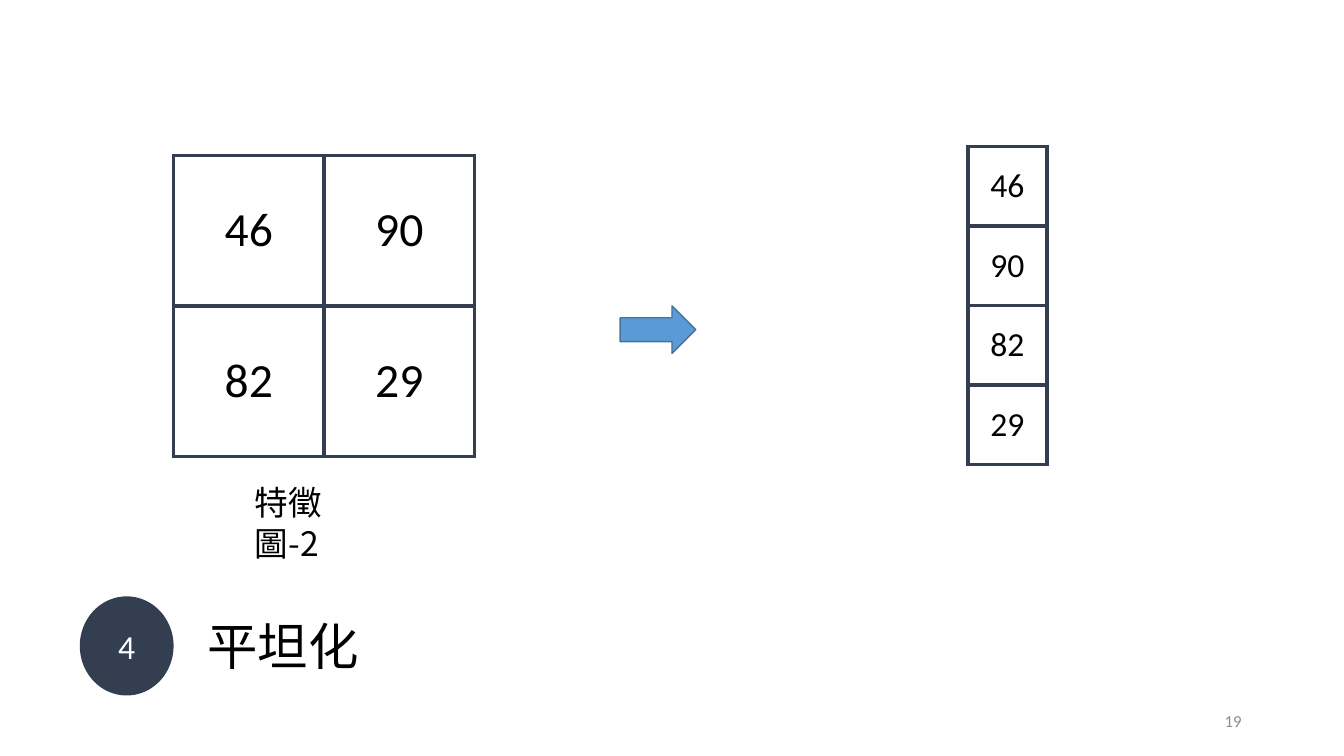
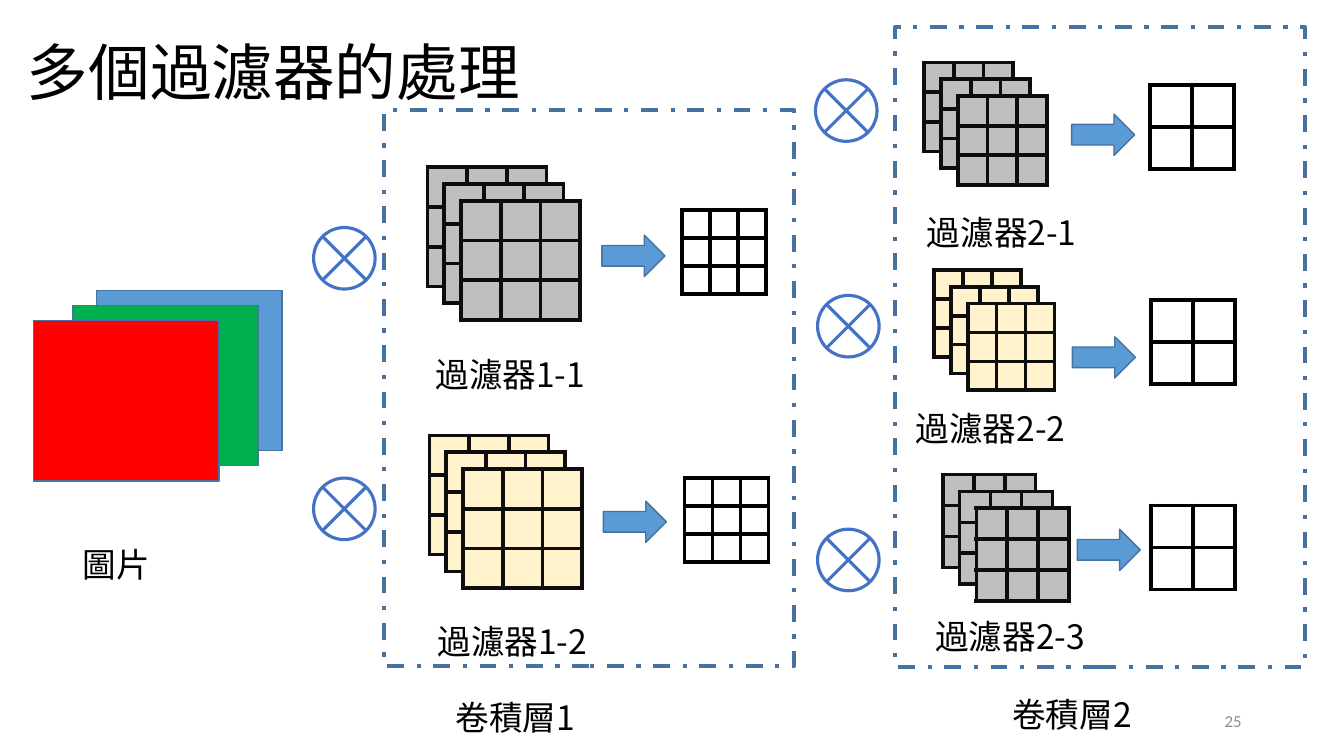
import pptx
import pptx.util
import pptx.dml.color
import pptx.enum.dml
import pptx.enum.shapes
import pptx.enum.text
import pptx.oxml.ns
import lxml.etree

Pt = pptx.util.Pt
RGBColor = pptx.dml.color.RGBColor
SHAPE = pptx.enum.shapes.MSO_SHAPE
ALIGN = pptx.enum.text.PP_ALIGN
ANCHOR = pptx.enum.text.MSO_ANCHOR
AUTO = pptx.enum.text.MSO_AUTO_SIZE
qn = pptx.oxml.ns.qn

BLACK = RGBColor(0x00, 0x00, 0x00)
WHITE = RGBColor(0xFF, 0xFF, 0xFF)
INK = RGBColor(0x0D, 0x0D, 0x0D)
NAVY = RGBColor(0x33, 0x3F, 0x50)
BLUE = RGBColor(0x5B, 0x9B, 0xD5)
EDGE = RGBColor(0x43, 0x73, 0x9E)
JUNCTION = RGBColor(0x44, 0x72, 0xC4)
GREEN = RGBColor(0x00, 0xB0, 0x50)
RED = RGBColor(0xFF, 0x00, 0x00)
GRAY = RGBColor(0xBF, 0xBF, 0xBF)
CREAM = RGBColor(0xFF, 0xF2, 0xCC)
MUTED = RGBColor(0x8C, 0x8C, 0x8C)

LATIN = "Calibri"
CJK = "Noto Sans CJK SC"


class Deck:
    def __init__(self):
        self.prs = pptx.Presentation()
        self.prs.slide_width = Pt(960)
        self.prs.slide_height = Pt(540)
        self.s = None

    def slide(self, number, title=None):
        layout = self.prs.slide_layouts[5 if title else 6]
        self.s = self.prs.slides.add_slide(layout)
        if title:
            self.title(title)
        self.number(number)

    def set_text(self, tf, text, size, font=CJK, color=BLACK, align=ALIGN.LEFT):
        tf.text = text
        p = tf.paragraphs[0]
        p.alignment = align
        for r in p.runs:
            r.font.size = Pt(size)
            r.font.name = font
            r.font.color.rgb = color
            rPr = r._r.get_or_add_rPr()
            lxml.etree.SubElement(rPr, qn("a:ea"), typeface=font)
        return p

    def title(self, text):
        sp = self.s.shapes.title
        sp.left, sp.top, sp.width, sp.height = Pt(12), Pt(2), Pt(828), Pt(104.4)
        tf = sp.text_frame
        tf.vertical_anchor = ANCHOR.MIDDLE
        p = self.set_text(tf, text, 44)
        p.line_spacing = 0.9

    def number(self, number):
        sp = self.s.shapes.add_textbox(Pt(678), Pt(500.4), Pt(216), Pt(28.8))
        tf = sp.text_frame
        tf.word_wrap = True
        tf.vertical_anchor = ANCHOR.MIDDLE
        self.set_text(tf, str(number), 12, LATIN, MUTED, ALIGN.RIGHT)

    def label(self, text, x, y, w=139, h=36, size=24, wrap=True):
        sp = self.s.shapes.add_textbox(Pt(x), Pt(y), Pt(w), Pt(h))
        tf = sp.text_frame
        tf.word_wrap = wrap
        tf.auto_size = AUTO.SHAPE_TO_FIT_TEXT
        self.set_text(tf, text, size)
        return tf

    def shape(self, kind, x, y, w, h, fill=None, line=None, width=1):
        sp = self.s.shapes.add_shape(kind, Pt(x), Pt(y), Pt(w), Pt(h))
        sp.shadow.inherit = False
        if fill is None:
            sp.fill.background()
        else:
            sp.fill.solid()
            sp.fill.fore_color.rgb = fill
        if line is None:
            sp.line.fill.background()
        else:
            sp.line.color.rgb = line
            sp.line.width = Pt(width)
        return sp

    def badge(self, text, x, y, w, h):
        tf = self.shape(SHAPE.OVAL, x, y, w, h, NAVY).text_frame
        tf.vertical_anchor = ANCHOR.MIDDLE
        self.set_text(tf, text, 24, LATIN, WHITE, ALIGN.CENTER)

    def arrow(self, x, y, w=45, h=29.5):
        self.shape(SHAPE.RIGHT_ARROW, x, y, w, h, BLUE, EDGE)

    def junction(self, x, y):
        kind = SHAPE.FLOWCHART_SUMMING_JUNCTION
        self.shape(kind, x, y, 44, 44, WHITE, JUNCTION, 2.25)

    def frame(self, x, y, w, h):
        sp = self.shape(SHAPE.RECTANGLE, x, y, w, h, None, EDGE, 3)
        sp.line.dash_style = pptx.enum.dml.MSO_LINE.DASH_DOT

    def border(self, cell, color):
        tcPr = cell._tc.get_or_add_tcPr()
        for side in ("lnL", "lnR", "lnT", "lnB"):
            ln = lxml.etree.SubElement(tcPr, qn(f"a:{side}"), w=str(Pt(3)))
            fill = lxml.etree.SubElement(ln, qn("a:solidFill"))
            lxml.etree.SubElement(fill, qn("a:srgbClr"), val=str(color))

    def grid(self, x, y, side, rows, cols, line, fill=None, values=None, size=24):
        w, h = side * cols, side * rows
        gf = self.s.shapes.add_table(rows, cols, Pt(x), Pt(y), Pt(w), Pt(h))
        table = gf.table
        table.first_row = table.horz_banding = False
        for i, cell in enumerate(table.iter_cells()):
            self.border(cell, line)
            if fill is None:
                cell.fill.background()
            else:
                cell.fill.solid()
                cell.fill.fore_color.rgb = fill
            if values:
                cell.vertical_anchor = ANCHOR.MIDDLE
                self.set_text(cell.text_frame, values[i], size, LATIN, align=ALIGN.CENTER)
            else:
                cell.margin_top = cell.margin_bottom = 0
                p = cell.text_frame.paragraphs[0]
                lxml.etree.SubElement(p._p, qn("a:endParaRPr"), sz="600")

    def stack(self, x, y, side, fill):
        for i in range(3):
            self.grid(x + 12 * i, y + 12 * i, side / 3, 3, 3, INK, fill)


def flattening(deck):
    values = ["46", "90", "82", "29"]
    deck.slide(19)
    deck.badge("4", 57, 426, 67, 70.8)
    deck.label("平坦化", 141, 436, 124, 51, 36, wrap=False)
    deck.arrow(443, 218.5, 54, 34)
    deck.grid(124, 111, 107.5, 2, 2, NAVY, values=values, size=34)
    tf = deck.label("特徵圖-2", 175, 341, 111.6)
    tf.margin_right = Pt(46.8)
    deck.grid(691.2, 104.6, 56.8, 4, 1, NAVY, values=values)


def filters(deck):
    deck.slide(25, "多個過濾器的處理")
    for x, y, color in ((69, 207.5, BLUE), (52, 218.2, GREEN), (24, 229, RED)):
        deck.shape(SHAPE.RECTANGLE, x, y, 132.5, 114.5, color, EDGE)
    deck.label("圖片", 52, 385, 91)

    layers = (
        (3, (
            ("過濾器1-1", (304, 249), (305.3, 119.5, 85.2, GRAY),
             (224, 162.5), (430, 168), (487, 149.8)),
            ("過濾器1-2", (305.5, 440), (306.7, 311, 85.2, CREAM),
             (224, 341.5), (431, 358), (489, 341.5)),
        )),
        (2, (
            ("過濾器2-1", (655, 147.5), (660.2, 44.6, 63.6, GRAY),
             (582.5, 57), (765.5, 81.5), (821.5, 60.5)),
            ("過濾器2-2", (647, 287.5), (667.2, 192.8, 62, CREAM),
             (584, 211), (766, 240.5), (822, 214.5)),
            ("過濾器2-3", (661, 436.5), (673.4, 339, 66.4, GRAY),
             (584, 378), (769.5, 378), (822, 361)),
        )),
    )
    for n, rows in layers:
        for name, label, stack, junction, arrow, output in rows:
            deck.stack(*stack)
            deck.label(name, *label)
            deck.junction(*junction)
            deck.arrow(*arrow)
            deck.grid(*output, 60 / n, n, n, BLACK, WHITE)

    deck.frame(274.5, 78.5, 292.5, 397.5)
    deck.frame(639.5, 19.5, 292.5, 457)
    deck.label("卷積層1", 318.5, 494)
    deck.label("卷積層2", 716, 492)


def main():
    deck = Deck()
    flattening(deck)
    filters(deck)
    deck.prs.save("out.pptx")


if __name__ == "__main__":
    main()
